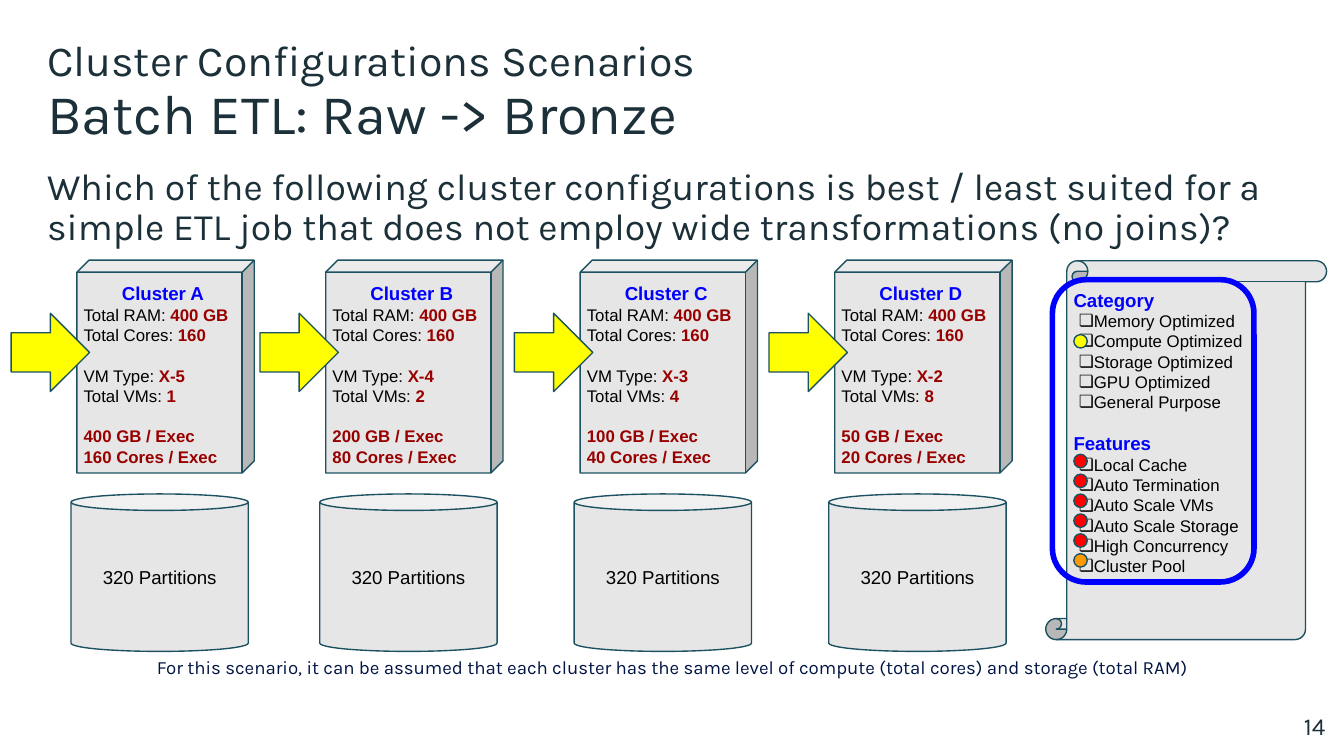
from lxml.etree import SubElement
from pptx import Presentation
from pptx.dml.color import RGBColor
from pptx.enum.shapes import MSO_SHAPE as Preset
from pptx.enum.text import MSO_ANCHOR as Anchor, MSO_AUTO_SIZE as Fit, PP_ALIGN as Align
from pptx.oxml.ns import qn
from pptx.util import Pt

COLORS = {
    "ink": "1B3038", "navy": "001544", "edge": "1B5161", "panel": "E7E6E6",
    "blue": "0000FF", "black": "000000", "maroon": "980000",
    "yellow": "FFFF00", "red": "FF0000", "orange": "FF9900",
}
TITLE = "Cluster Configurations Scenarios"
SUBTITLE = "Batch ETL: Raw -> Bronze"
QUESTION = (
    "Which of the following cluster configurations is best / least suited for a "
    "simple ETL job that does not employ wide transformations (no joins)?"
)
FOOTNOTE = (
    "For this scenario, it can be assumed that each cluster has the same level of "
    "compute (total cores) and storage (total RAM)"
)
PAGE_NUMBER = "14"
TOTAL_RAM, TOTAL_CORES, PARTITIONS = 400, 160, "320 Partitions"
CLUSTERS = [
    ("Cluster A", "X-5", 1, 41.2),
    ("Cluster B", "X-4", 2, 174.5),
    ("Cluster C", "X-3", 4, 310.8),
    ("Cluster D", "X-2", 8, 447.2),
]
CHECKLIST = [
    ("Category", 168.6, [
        ("Memory Optimized", None), ("Compute Optimized", "yellow"),
        ("Storage Optimized", None), ("GPU Optimized", None), ("General Purpose", None),
    ]),
    ("Features", 243.4, [
        ("Local Cache", "red"), ("Auto Termination", "red"), ("Auto Scale VMs", "red"),
        ("Auto Scale Storage", "red"), ("High Concurrency", "red"), ("Cluster Pool", "orange"),
    ]),
]
GROUP_GAP = 10.9
DOT_PITCH = 10.65


def rgb(name):
    return RGBColor.from_string(COLORS[name])


def style(para, size, color, font="Arial", bold=False, align=Align.LEFT, spacing=1.0, before=0):
    para.alignment = align
    para.line_spacing = spacing
    para.space_before = Pt(before)
    for span in para.runs:
        span.font.name, span.font.size, span.font.bold = font, Pt(size), bold
        span.font.color.rgb = rgb(color)


def set_frame(frame, insets, anchor=Anchor.TOP):
    frame.word_wrap = True
    frame.auto_size = Fit.NONE
    frame.vertical_anchor = anchor
    frame.margin_left, frame.margin_top, frame.margin_right, frame.margin_bottom = map(Pt, insets)


def place(holder, box, text, size, inset=0, spacing=1.0):
    holder.left, holder.top, holder.width, holder.height = map(Pt, box)
    set_frame(holder.text_frame, (inset, 0, 0, 0))
    holder.text_frame.text = text
    para = holder.text_frame.paragraphs[0]
    style(para, size, "ink", "Karla", spacing=spacing)
    props = para._p.get_or_add_pPr()
    props.set("marL", "0")
    props.set("indent", "0")
    SubElement(props, qn("a:buNone"))


def add_label(page, box, text, size, color, insets, **options):
    label = page.shapes.add_textbox(*map(Pt, box))
    set_frame(label.text_frame, insets)
    label.text_frame.text = text
    style(label.text_frame.paragraphs[0], size, color, "Karla", **options)


def add_preset(page, preset, box, fill="panel", line="edge", weight=0.75, adjust=None):
    shape = page.shapes.add_shape(preset, *map(Pt, box))
    shape.shadow.inherit = False
    if fill:
        shape.fill.solid()
        shape.fill.fore_color.rgb = rgb(fill)
    else:
        shape.fill.background()
    shape.line.color.rgb = rgb(line)
    shape.line.width = Pt(weight)
    if adjust is not None:
        shape.adjustments[0] = adjust
    return shape


def add_checkbox(para):
    props = para._p.get_or_add_pPr()
    props.set("marL", str(Pt(10.8)))
    props.set("indent", str(Pt(-7.9)))
    SubElement(SubElement(props, qn("a:buClr")), qn("a:srgbClr"), val=COLORS["black"])
    SubElement(props, qn("a:buFont"), typeface="Arial")
    SubElement(props, qn("a:buChar"), char="❏")


def add_checklist(page):
    scroll = add_preset(page, Preset.VERTICAL_SCROLL, (560.2, 139.7, 150.5, 203), adjust=0.075)
    frame = scroll.text_frame
    set_frame(frame, (3.6, 3.6, 0, 3.6))
    for index, (heading, _, items) in enumerate(CHECKLIST):
        para = frame.add_paragraph() if index else frame.paragraphs[0]
        para.text = heading
        style(para, 10, "blue", bold=True, before=GROUP_GAP if index else 0)
        for item, _ in items:
            para = frame.add_paragraph()
            para.text = item
            style(para, 9, "black")
            add_checkbox(para)


def add_cluster(page, name, machine, count, left):
    cube = add_preset(page, Preset.CUBE, (left, 139.4, 95, 114), adjust=0.068)
    frame = cube.text_frame
    set_frame(frame, (3.6, 3.6, 0, 0))
    frame.text = name
    style(frame.paragraphs[0], 10, "blue", bold=True, align=Align.CENTER, spacing=1.15)
    groups = [
        [("Total RAM: ", f"{TOTAL_RAM} GB"), ("Total Cores: ", f"{TOTAL_CORES}")],
        [("VM Type: ", machine), ("Total VMs: ", f"{count}")],
        [("", f"{TOTAL_RAM // count} GB / Exec"), ("", f"{TOTAL_CORES // count} Cores / Exec")],
    ]
    for group_index, group in enumerate(groups):
        for line_index, (label, value) in enumerate(group):
            para = frame.add_paragraph()
            para.text = label
            style(para, 9, "black", before=GROUP_GAP if group_index and not line_index else 0)
            span = para.add_run()
            span.text = value
            span.font.name, span.font.size, span.font.bold = "Arial", Pt(9), True
            span.font.color.rgb = rgb("maroon")
    can = add_preset(page, Preset.CAN, (left - 3.2, 264.6, 95, 84.4), adjust=0.105)
    set_frame(can.text_frame, (7.2,) * 4, Anchor.MIDDLE)
    can.text_frame.text = PARTITIONS
    style(can.text_frame.paragraphs[0], 10, "black", align=Align.CENTER)
    add_preset(page, Preset.RIGHT_ARROW, (left - 35.2, 167.8, 42, 42), fill="yellow")


def main():
    """Build the cluster configuration slide."""
    deck = Presentation()
    deck.slide_width, deck.slide_height = Pt(720), Pt(405)
    page = deck.slides.add_slide(deck.slide_layouts[3])
    title, body, subtitle = page.placeholders
    place(title, (0, 18, 720, 36), TITLE, 23, inset=25.2)
    place(subtitle, (0, 41.8, 720, 36), SUBTITLE, 30, inset=25.2)
    place(body, (25.2, 90, 694.8, 301), QUESTION, 20, spacing=0.9)

    add_checklist(page)
    for cluster in CLUSTERS:
        add_cluster(page, *cluster)
    add_label(page, (36, 352.8, 648, 19.4), FOOTNOTE, 10, "navy", (0,) * 4,
              align=Align.CENTER, spacing=0.9, before=8)
    add_label(page, (673.9, 373.7, 43.2, 31), PAGE_NUMBER, 13, "ink", (7.2,) * 4,
              align=Align.RIGHT)
    for _, top, items in CHECKLIST:
        for row, (_, color) in enumerate(items):
            if color:
                add_preset(page, Preset.OVAL, (575.3, top + row * DOT_PITCH, 7.2, 7.2), fill=color)
    add_preset(page, Preset.ROUNDED_RECTANGLE, (563.8, 149.8, 108, 162), fill=None,
               line="blue", weight=3, adjust=0.167)
    deck.save("out.pptx")


if __name__ == "__main__":
    main()
